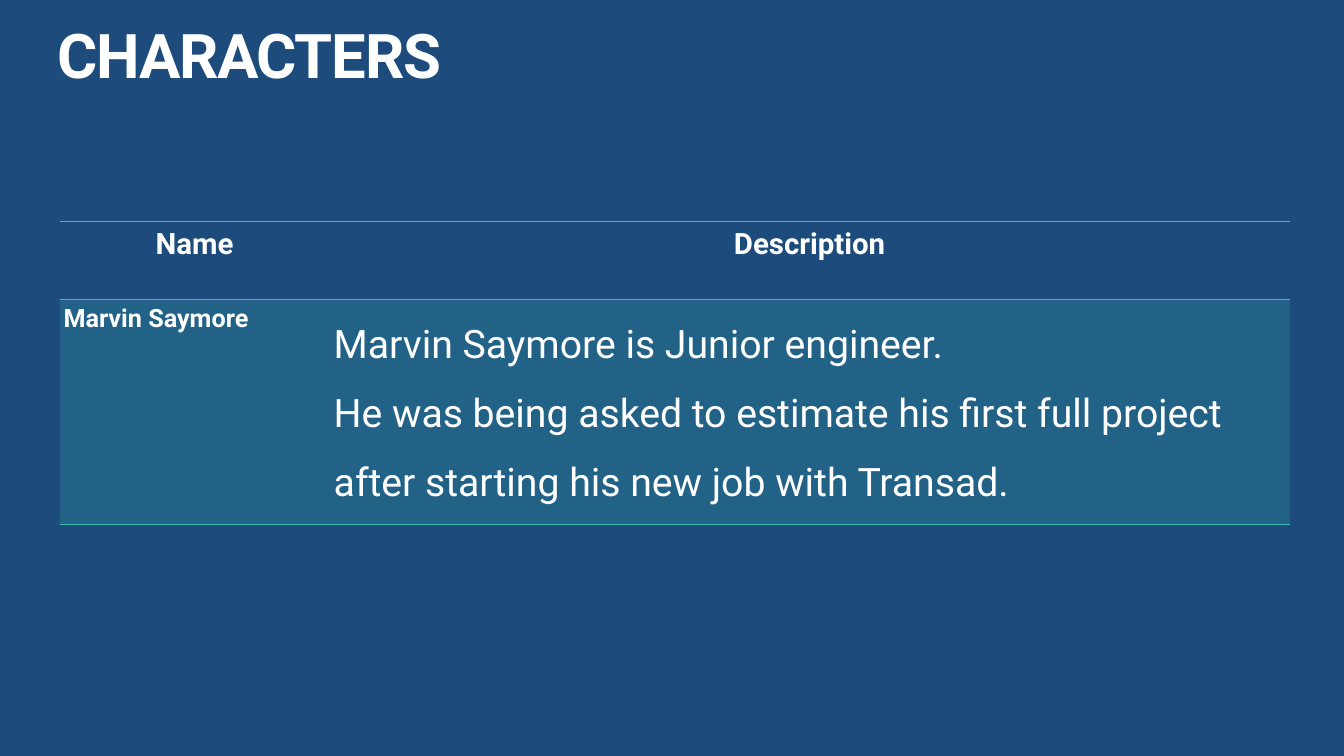
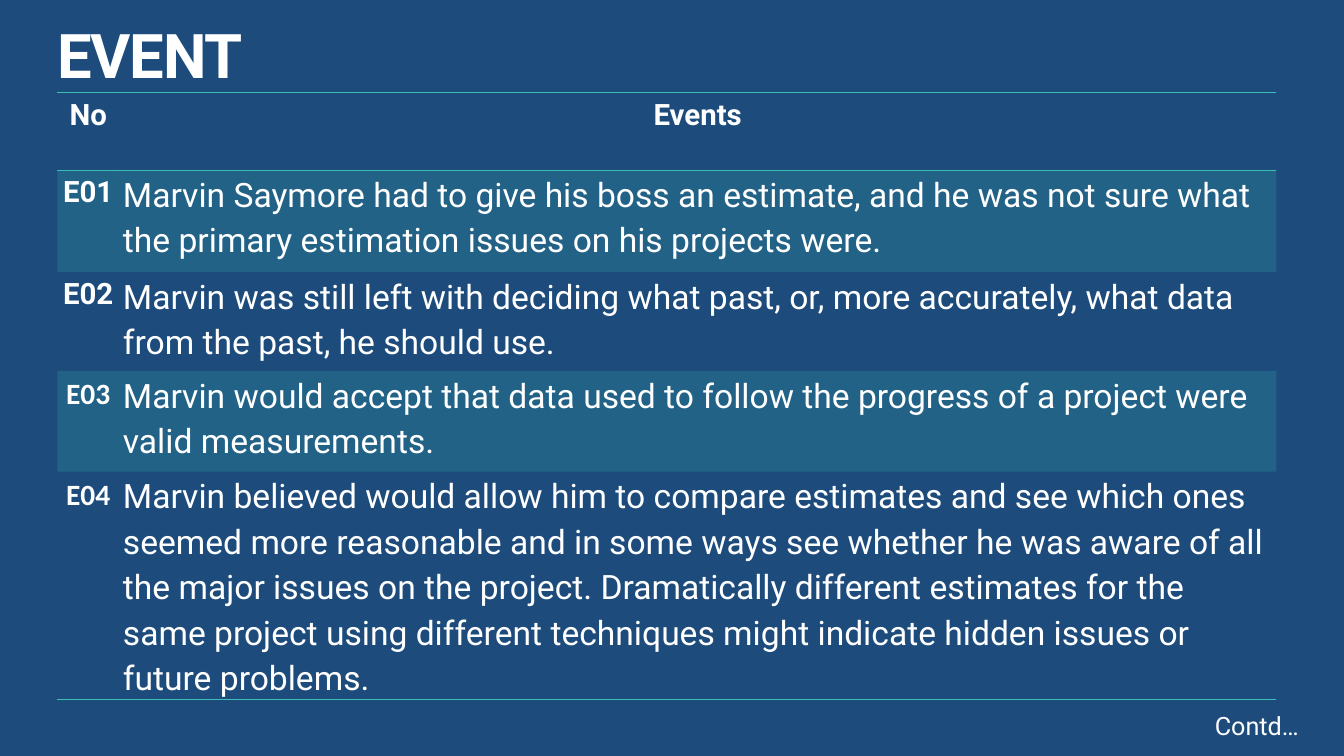
from lxml import etree
from pptx import Presentation
from pptx.dml.color import RGBColor
from pptx.enum.text import MSO_ANCHOR, PP_ALIGN
from pptx.oxml.ns import qn
from pptx.util import Inches, Pt

COLORS = {"navy": "1D4C7C", "teal": "3BBEB4", "white": "FFFFFF"}
NO_STYLE_NO_GRID = "{2D5ABB26-0587-4C30-8999-92F81FD0307C}"
BAND_OPACITY = 20

BOLD = {"name": "Roboto", "size": Pt(21), "bold": True}
CENTERED = {"alignment": PP_ALIGN.CENTER, "line_spacing": 1.15, "space_after": Pt(10)}
LEFT = {**CENTERED, "alignment": PP_ALIGN.LEFT}

# Each style pairs font values with paragraph values.
STYLES = {
    "title": ({**BOLD, "size": Pt(44)},
              {"alignment": PP_ALIGN.LEFT, "line_spacing": 0.9}),
    "label": (BOLD, CENTERED),
    "label_calibri": ({**BOLD, "name": "Calibri"}, CENTERED),
    "character": ({**BOLD, "size": Pt(18)}, LEFT),
    "description": ({**BOLD, "size": Pt(28), "bold": False},
                    {"alignment": PP_ALIGN.LEFT, "line_spacing": 1.5}),
    "event": ({**BOLD, "size": Pt(24), "bold": False}, LEFT),
    "note": ({**BOLD, "size": Pt(18), "bold": False}, {}),
}
TITLE_BOX = {"left": Inches(0.57), "top": Inches(0.25),
             "width": Inches(12.19), "height": Inches(0.67)}
NO_MARGINS = {"margin_left": 0, "margin_right": 0, "margin_top": 0, "margin_bottom": 0}
CELL_MARGINS = {**NO_MARGINS, "margin_left": Inches(0.04), "margin_right": Inches(0.04)}

CHARACTERS = [
    [("Name", "label"), ("Description", "label")],
    [("Marvin Saymore", "character"),
     ("Marvin Saymore is Junior engineer.\n"
      "He was being asked to estimate his ﬁrst full project after starting "
      "his new job with Transad.", "description")],
]
EVENTS = [
    [("No", "label"), ("Events", "label")],
    [("E01", "label"),
     ("Marvin Saymore had to give his boss an estimate, and he was not sure what "
      "the primary estimation issues on his projects were.", "event")],
    [("E02", "label"),
     ("Marvin was still left with deciding what past, or, more accurately, what data "
      "from the past, he should use.", "event")],
    [("E03", "label_calibri"),
     ("Marvin would accept that data used to follow the progress of a project were "
      "valid measurements.", "event")],
    [("E04", "label_calibri"),
     ("Marvin believed would allow him to compare estimates and see which ones "
      "seemed more reasonable and in some ways see whether he was aware of all "
      "the major issues on the project. Dramatically different estimates for the "
      "same project using different techniques might indicate hidden issues or "
      "future problems.", "event")],
]


def rgb(color):
    return RGBColor.from_string(COLORS[color])


def apply(target, values):
    for attribute, value in values.items():
        setattr(target, attribute, value)


def write(frame, text, style):
    font_values, paragraph_values = STYLES[style]
    frame.text = text
    for paragraph in frame.paragraphs:
        apply(paragraph, paragraph_values)
        for run in paragraph.runs:
            apply(run.font, font_values)
            run.font.color.rgb = rgb("white")


def set_up_master(deck):
    """Give every slide the navy ground and the title its shared place."""
    ground = deck.slide_master.background.fill
    ground.solid()
    ground.fore_color.rgb = rgb("navy")
    layout = deck.slide_layouts.get_by_name("Title Only")
    apply(layout.placeholders[0], TITLE_BOX)
    return layout


def add_titled_slide(deck, layout, heading):
    slide = deck.slides.add_slide(layout)
    frame = slide.shapes.title.text_frame
    write(frame, heading, "title")
    apply(frame, {**NO_MARGINS, "vertical_anchor": MSO_ANCHOR.TOP, "word_wrap": True})
    frame.paragraphs[0].runs[0].font._element.set("spc", "-100")
    return slide


def band(cell):
    """Fill the cell with translucent teal."""
    cell.fill.solid()
    cell.fill.fore_color.rgb = rgb("teal")
    color = cell._tc.tcPr.find(".//" + qn("a:srgbClr"))
    etree.SubElement(color, qn("a:alpha"), val=str(BAND_OPACITY * 1000))


def rule(cell, sides):
    """Draw 1 pt teal borders on the given sides, in the order lnT, lnB."""
    properties = cell._tc.get_or_add_tcPr()
    for position, side in enumerate(sides):
        line = etree.Element(qn("a:" + side), w=str(Pt(1)))
        fill = etree.SubElement(line, qn("a:solidFill"))
        etree.SubElement(fill, qn("a:srgbClr"), val=COLORS["teal"])
        properties.insert(position, line)


def add_banded_table(slide, left, top, widths, heights, rows):
    """Add a table ruled around its header and foot, with odd rows banded."""
    table = slide.shapes.add_table(
        len(rows), len(widths), Inches(left), Inches(top),
        Inches(sum(widths)), Inches(sum(heights))).table
    table._tbl.tblPr.find(qn("a:tableStyleId")).text = NO_STYLE_NO_GRID
    for column, width in zip(table.columns, widths):
        column.width = Inches(width)
    for index, (row, height, entries) in enumerate(zip(table.rows, heights, rows)):
        row.height = Inches(height)
        for cell, (text, style) in zip(row.cells, entries):
            write(cell.text_frame, text, style)
            apply(cell, CELL_MARGINS)
            if index % 2:
                band(cell)
            else:
                cell.fill.background()
            if index == 0:
                rule(cell, ["lnT", "lnB"])
            elif index == len(rows) - 1:
                rule(cell, ["lnB"])


def add_note(slide, text):
    box = slide.shapes.add_textbox(Inches(11.95), Inches(7), Inches(1.06), Inches(0.4))
    box.text_frame.word_wrap = False
    write(box.text_frame, text, "note")


def main():
    deck = Presentation()
    deck.slide_width, deck.slide_height = Inches(13.33), Inches(7.5)
    layout = set_up_master(deck)

    characters = add_titled_slide(deck, layout, "CHARACTERS")
    add_banded_table(characters, 0.59, 2.2, [2.68, 9.52], [0.77, 2.23], CHARACTERS)

    events = add_titled_slide(deck, layout, "EVENT")
    add_banded_table(events, 0.57, 0.92, [0.61, 11.48],
                     [0.77, 1.01, 0.98, 1, 2.26], EVENTS)
    add_note(events, "Contd…")

    deck.save("out.pptx")


if __name__ == "__main__":
    main()
